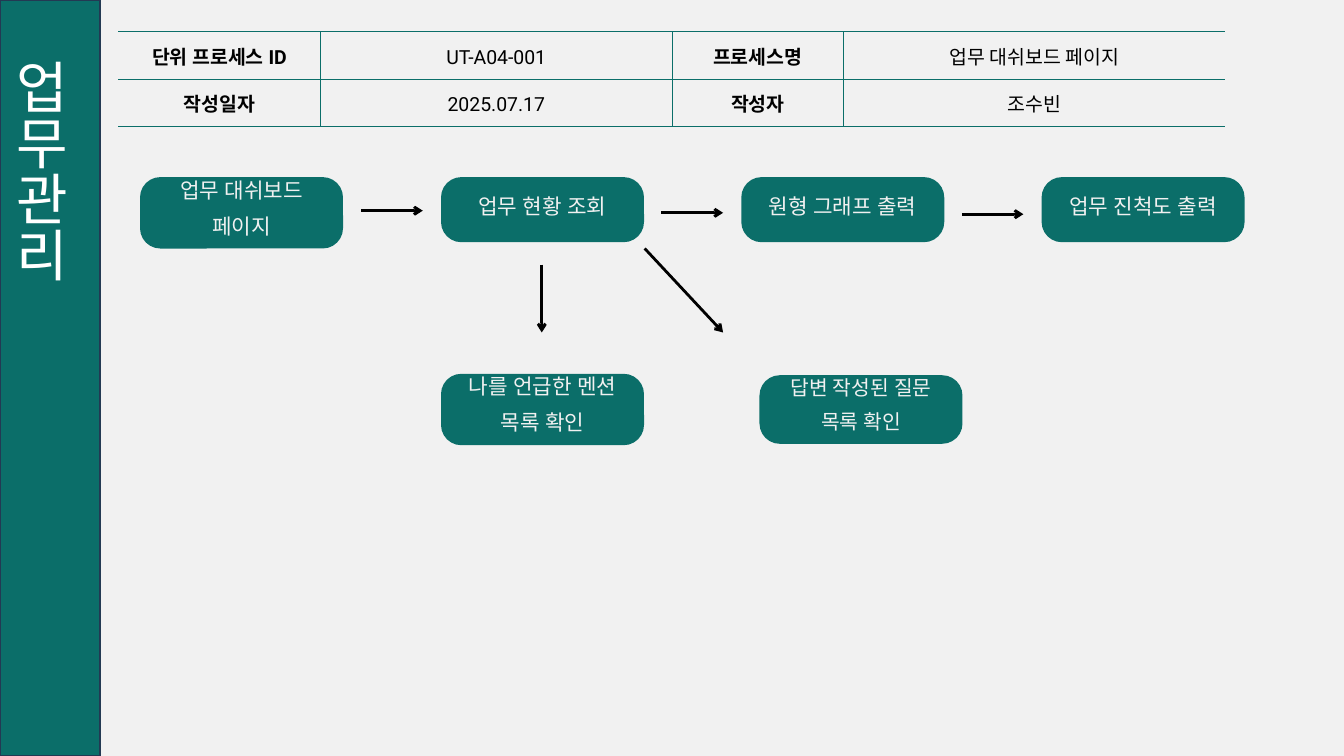
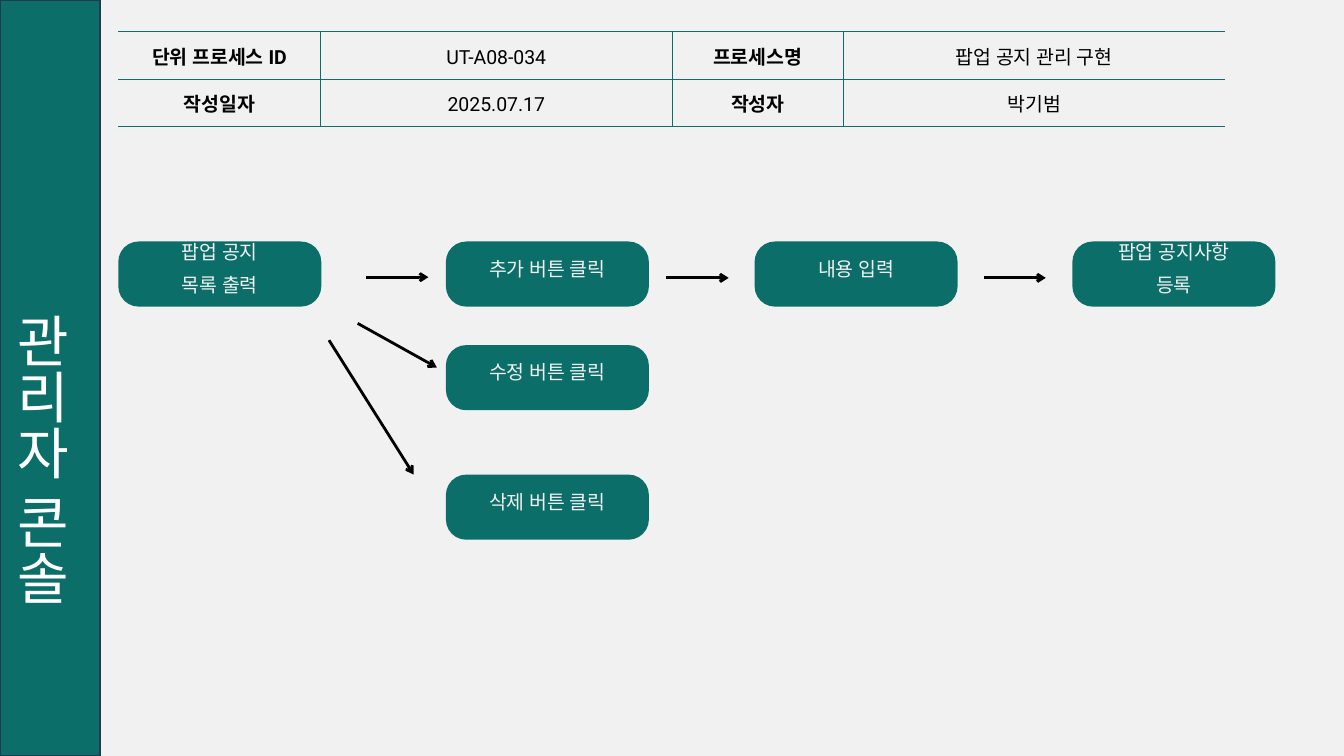
"""Build two unit-process slides: a side title, an ID table and a flow of steps."""
import pptx
import pptx.dml.color
import pptx.enum.shapes
import pptx.enum.text
import pptx.util
from lxml import etree
from pptx.oxml.ns import qn

PX = 9525
COLORS = {"teal": "0B6E69", "navy": "233953", "paper": "F1F1F1", "black": "000000", "white": "FFFFFF"}
BOX_W, BOX_H, RADIUS = 290, 93, 29
COLS, ROW_H = [289, 502, 245, 545], 68
ALIGN = pptx.enum.text.PP_ALIGN
ANCHOR = pptx.enum.text.MSO_ANCHOR

SLIDES = [
    {
        "title": "업무관리", "indent": 80,
        "table": [["단위 프로세스 ID", "UT-A04-001", "프로세스명", "업무 대쉬보드 페이지"],
                  ["작성일자", "2025.07.17", "작성자", "조수빈"]],
        "size": 22.8, "spacing": 38.6,
        "steps": [
            (200, 253, 102, ["업무 대쉬보드", "페이지"]),
            (630, 253, BOX_H, ["업무 현황 조회"]),
            (1059, 253, BOX_H, ["원형 그래프 출력"]),
            (630, 534, 102, ["나를 언급한 멘션", "목록 확인"]),
            (1488, 253, BOX_H, ["업무 진척도 출력"]),
            (1085, 536, 98, ["답변 작성된 질문", "목록 확인"], 21.8, 36.9),
        ],
        "arrows": [(921, 355, 1033, 475), (516, 301, 604, 301), (945, 304, 1033, 304),
                   (1374, 306, 1462, 306), (774, 378, 774, 475)],
    },
    {
        "title": "관리자 콘솔", "indent": 104,
        "table": [["단위 프로세스 ID", "UT-A08-034", "프로세스명", "팝업 공지 관리 구현"],
                  ["작성일자", "2025.07.17", "작성자", "박기범"]],
        "size": 20.8, "spacing": 35.2,
        "steps": [
            (169, 345, BOX_H, ["팝업 공지", "목록 출력"]),
            (637, 345, BOX_H, ["추가 버튼 클릭"]),
            (1078, 345, BOX_H, ["내용 입력"]),
            (637, 493, BOX_H, ["수정 버튼 클릭"]),
            (1532, 345, BOX_H, ["팝업 공지사항", "등록"]),
            (637, 678, BOX_H, ["삭제 버튼 클릭"]),
        ],
        "arrows": [(523, 396, 612, 396), (952, 397, 1041, 397), (511, 462, 624, 525),
                   (1406, 397, 1494, 397), (470, 486, 591, 678)],
    },
]


def rgb(name):
    return pptx.dml.color.RGBColor.from_string(COLORS[name])


def write(p, text, size, color, align, spacing=None, font="Roboto", bold=False):
    p.alignment = align
    if spacing:
        p.line_spacing = pptx.util.Pt(spacing)
    r = p.add_run()
    r.text = text
    r.font.size = pptx.util.Pt(size)
    r.font.bold = bold
    r.font.color.rgb = rgb(color)
    r.font.name = font
    etree.SubElement(r.font._element, qn("a:ea"), typeface=font)


prs = pptx.Presentation()
prs.slide_width, prs.slide_height = 1920 * PX, 1080 * PX
bg = prs.slide_master.background.fill
bg.solid()
bg.fore_color.rgb = rgb("paper")

for page in SLIDES:
    s = prs.slides.add_slide(prs.slide_layouts[5])

    band = s.shapes.title
    band.left, band.top, band.width, band.height = 0, 0, 143 * PX, 1080 * PX
    band.fill.solid()
    band.fill.fore_color.rgb = rgb("teal")
    band.line.color.rgb = rgb("navy")
    band.line.width = pptx.util.Pt(2)
    tf = band.text_frame
    tf.auto_size = pptx.enum.text.MSO_AUTO_SIZE.NONE
    tf.vertical_anchor = ANCHOR.BOTTOM
    tf._txBody.bodyPr.set("vert", "eaVert")
    p = tf.paragraphs[0]
    write(p, page["title"], 60, "white", ALIGN.JUSTIFY, font="Calibri")
    p._p.get_or_add_pPr().set("marL", str(page["indent"] * PX))

    table = s.shapes.add_table(2, 4, 169 * PX, 45 * PX, sum(COLS) * PX, 2 * ROW_H * PX).table
    table.first_row = table.horz_banding = False
    for col, width in zip(table.columns, COLS):
        col.width = width * PX
    for i, values in enumerate(page["table"]):
        table.rows[i].height = ROW_H * PX
        for j, value in enumerate(values):
            cell = table.cell(i, j)
            cell.margin_left = cell.margin_right = cell.margin_top = cell.margin_bottom = PX
            cell.vertical_anchor = ANCHOR.MIDDLE
            write(cell.text_frame.paragraphs[0], value, 20.8, "black", ALIGN.CENTER, 29.2, bold=j % 2 == 0)
            tcPr = cell._tc.get_or_add_tcPr()
            for side in "LRTB":
                ln = etree.SubElement(tcPr, qn("a:ln" + side), w="9525")
                if (side, j) in (("L", 0), ("R", 3)):
                    etree.SubElement(ln, qn("a:noFill"))
                else:
                    fill = etree.SubElement(ln, qn("a:solidFill"))
                    etree.SubElement(fill, qn("a:srgbClr"), val=COLORS["teal"])
            cell.fill.background()

    for x, y, height, lines, *style in page["steps"]:
        size, spacing = style or (page["size"], page["spacing"])
        sp = s.shapes.add_shape(pptx.enum.shapes.MSO_SHAPE.ROUNDED_RECTANGLE,
                                x * PX, y * PX, BOX_W * PX, height * PX)
        sp.shadow.inherit = False
        sp.adjustments[0] = RADIUS / height
        sp.fill.solid()
        sp.fill.fore_color.rgb = rgb("teal")
        sp.line.fill.background()
        tf = sp.text_frame
        tf.word_wrap = True
        tf.margin_left = tf.margin_right = tf.margin_bottom = 6 * PX
        tf.margin_top = 0
        tf.vertical_anchor = ANCHOR.BOTTOM if len(lines) > 1 else ANCHOR.TOP
        for k, line in enumerate(lines):
            p = tf.add_paragraph() if k else tf.paragraphs[0]
            write(p, line, size, "paper", ALIGN.CENTER, spacing)

    for ends in page["arrows"]:
        arrow = s.shapes.add_connector(pptx.enum.shapes.MSO_CONNECTOR.STRAIGHT, *(v * PX for v in ends))
        arrow.line.color.rgb = rgb("black")
        arrow.line.width = pptx.util.Pt(3)
        etree.SubElement(arrow.line._get_or_add_ln(), qn("a:tailEnd"), type="arrow")
        etree.SubElement(arrow._element.spPr, qn("a:effectLst"))

prs.save("out.pptx")
